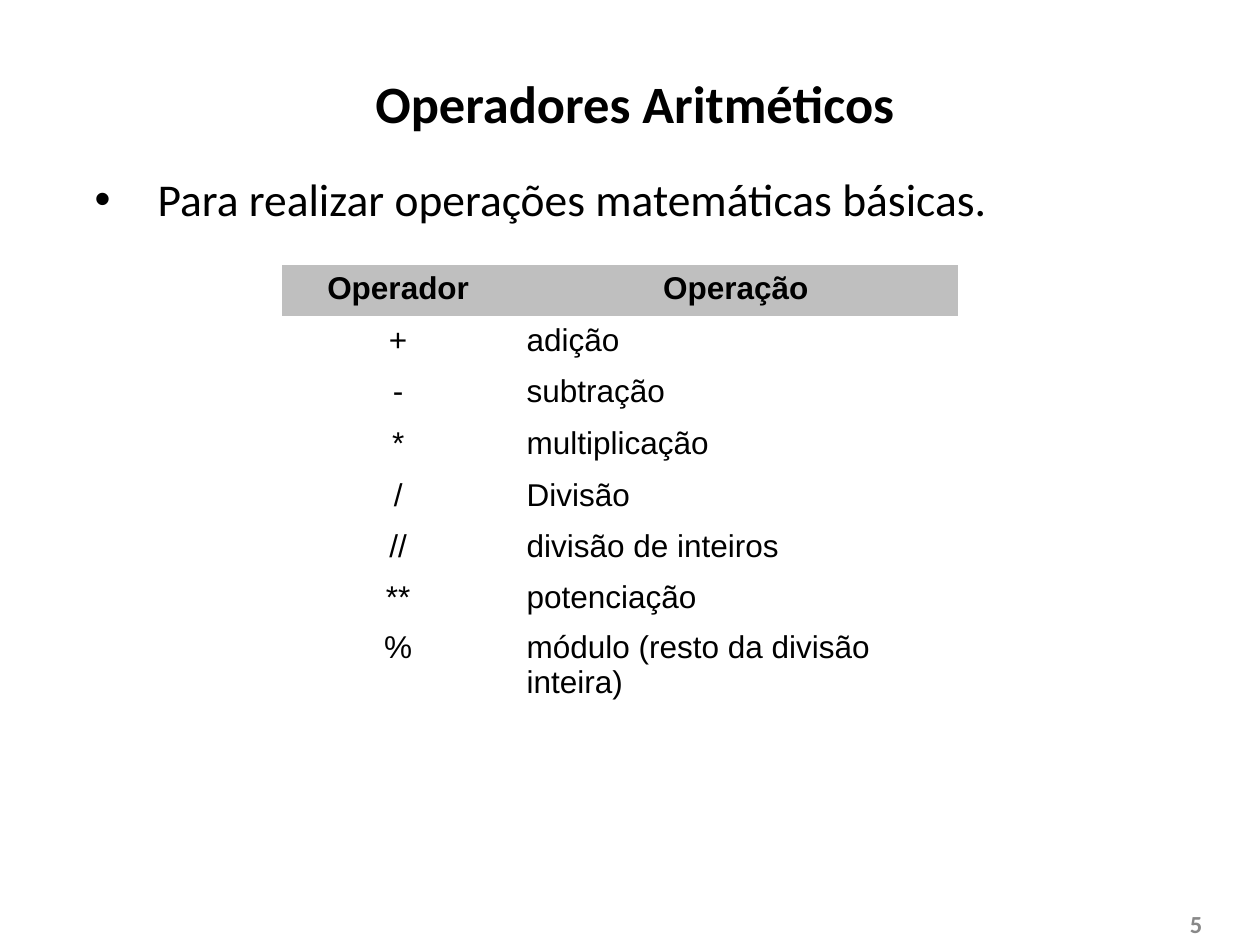
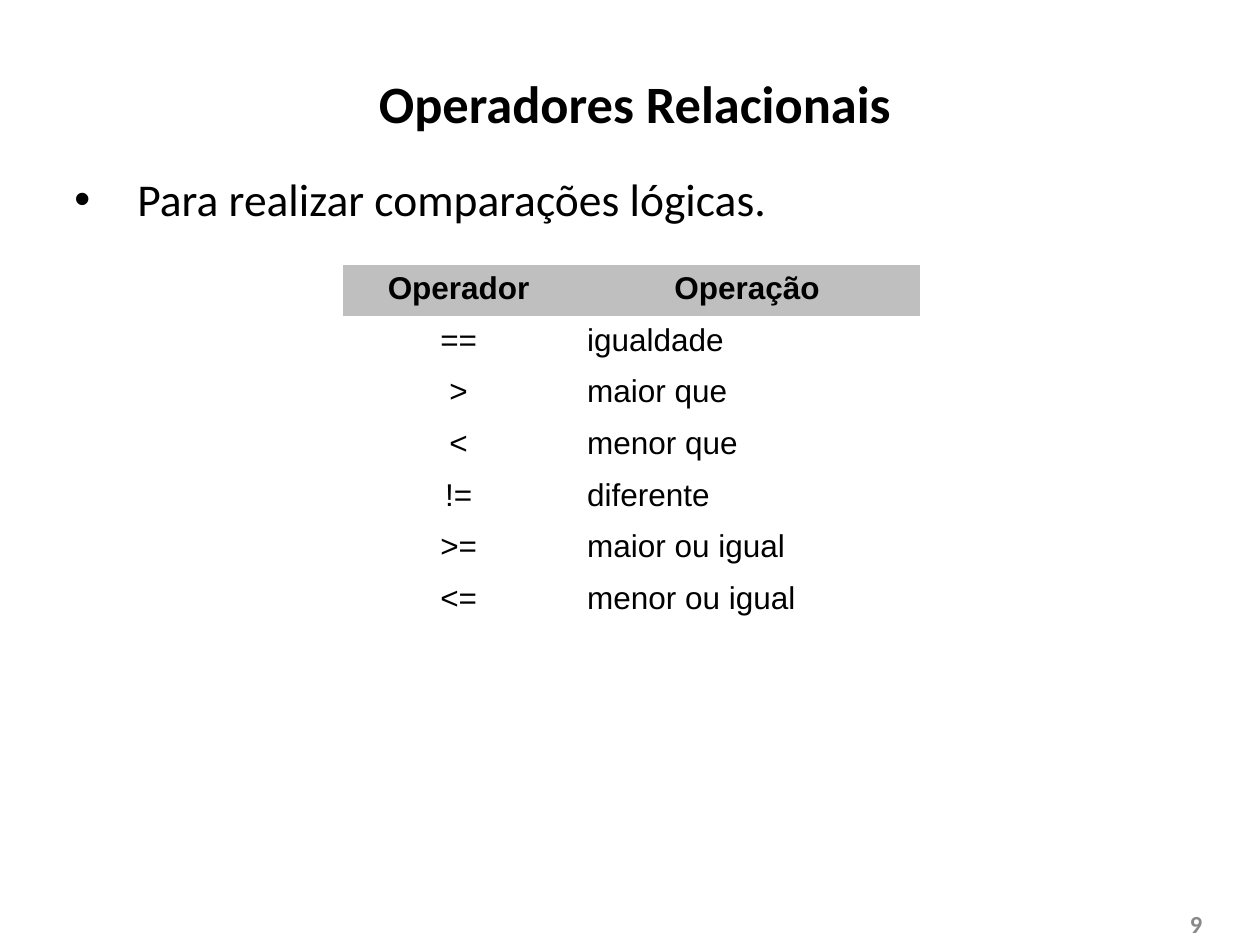
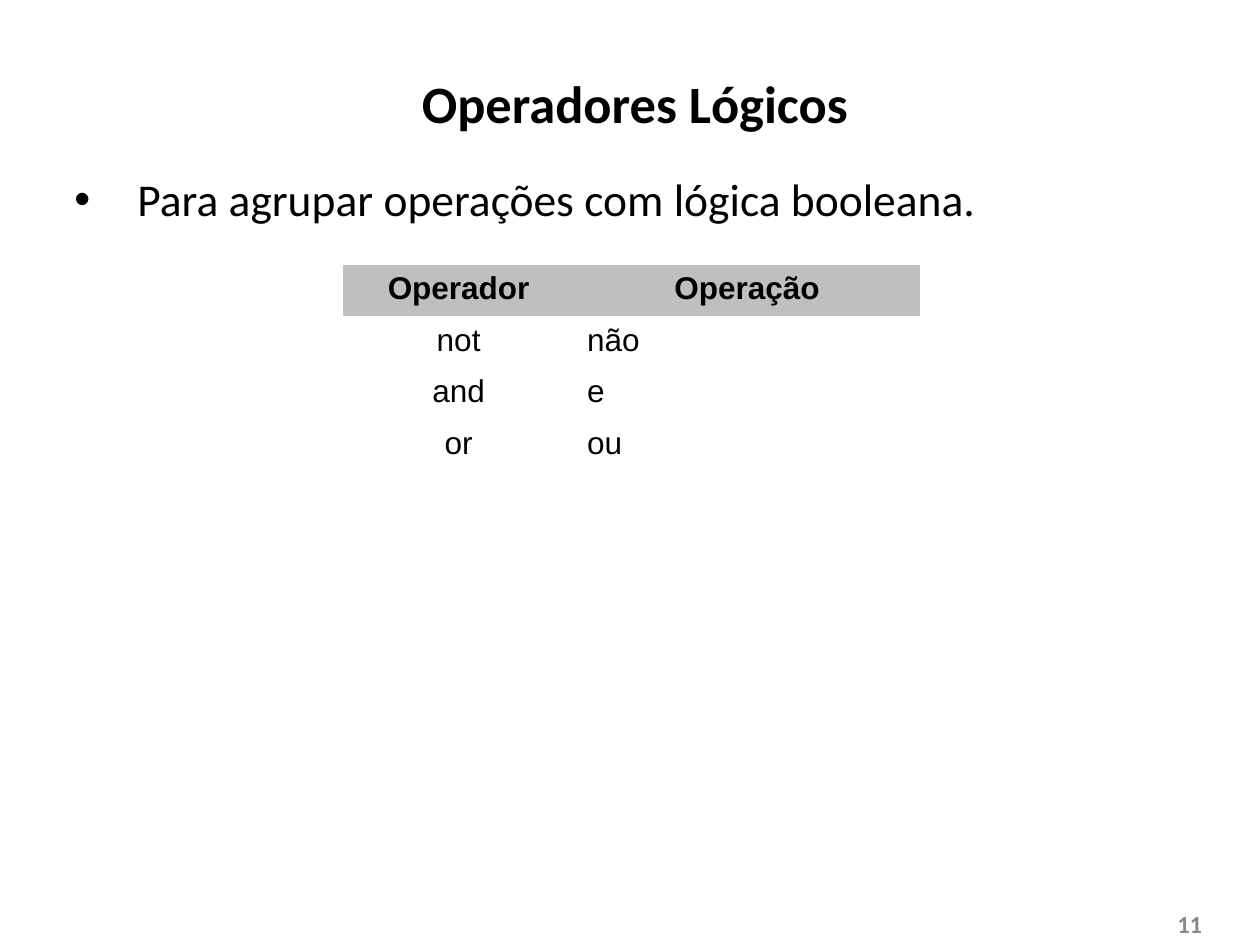
from dataclasses import dataclass

from pptx import Presentation
from pptx.dml.color import RGBColor
from pptx.enum.text import MSO_ANCHOR, MSO_AUTO_SIZE, PP_ALIGN
from pptx.util import Inches, Pt

LEFT, CENTER, RIGHT, JUSTIFY = PP_ALIGN.LEFT, PP_ALIGN.CENTER, PP_ALIGN.RIGHT, PP_ALIGN.JUSTIFY
TOP, MIDDLE = MSO_ANCHOR.TOP, MSO_ANCHOR.MIDDLE
FIXED_SIZE = MSO_AUTO_SIZE.NONE
TITLE_AND_CONTENT = 1
NO_STYLE_NO_GRID = "{2D5ABB26-0587-4C30-8999-92F81FD0307C}"
GRID_COLUMNS, GRID_ROWS = 100, 75
HEADINGS = ("Operador", "Operação")


@dataclass(frozen=True)
class Theme:
    """Hold the fonts, colours and type sizes of the deck."""
    text_font: str = "Calibri"
    table_font: str = "Arial"
    ink: RGBColor = RGBColor(0, 0, 0)
    number_gray: RGBColor = RGBColor(0x88, 0x88, 0x88)
    header_gray: RGBColor = RGBColor(0xBF, 0xBF, 0xBF)
    title_size: int = 30
    body_size: int = 26
    table_size: int = 18
    number_size: int = 14


THEME = Theme()


def grid(cells):
    """Turn a count of grid cells into a length."""
    return Inches(cells * 10 / GRID_COLUMNS)


def place(box, left, top, width, height):
    """Put a box on the grid."""
    box.left, box.top = grid(left), grid(top)
    box.width, box.height = grid(width), grid(height)


def write(frame, text, *, size, font=THEME.text_font, color=THEME.ink, bold=False,
          align=LEFT, anchor=TOP, line_spacing=None):
    """Write one formatted paragraph into a text frame and return it."""
    frame.word_wrap = True
    frame.vertical_anchor = anchor
    para = frame.paragraphs[0]
    para.alignment = align
    para.space_before = Pt(0)
    para.line_spacing = line_spacing
    span = para.add_run()
    span.text = text
    span.font.name, span.font.size, span.font.bold = font, Pt(size), bold
    span.font.color.rgb = color
    return para


def add_title(page, text):
    """Fill the title placeholder."""
    box = page.shapes.title
    place(box, 5.1, 5.7, 90.6, 5.8)
    box.text_frame.auto_size = FIXED_SIZE
    write(box.text_frame, text, size=THEME.title_size, bold=True, align=CENTER,
          line_spacing=0.9)


def add_purpose(page, text, left, width):
    """Fill the body placeholder with one bulleted sentence."""
    box = page.placeholders[1]
    place(box, left, 13.1, width, 5.4)
    box.text_frame.auto_size = FIXED_SIZE
    para = write(box.text_frame, text, size=THEME.body_size, align=JUSTIFY)
    properties = para._p.get_or_add_pPr()
    properties.set("marL", str(grid(5)))
    properties.set("indent", str(-grid(5)))


def add_page_number(page, number):
    """Write the page number in the lower right corner."""
    box = page.shapes.add_textbox(0, 0, 0, 0)
    place(box, 73.1, 71.3, 23.3, 4)
    write(box.text_frame, str(number), size=THEME.number_size, color=THEME.number_gray,
          bold=True, align=RIGHT, anchor=MIDDLE)


def add_operator_table(page, operators, left, meaning_width, compact_rows=0):
    """Add the table of operators, with the last rows as low as their text."""
    rows = [HEADINGS, *operators]
    widths = (18.4, meaning_width)
    heights = [4.1] * (len(rows) - compact_rows) + [2.5] * compact_rows
    frame = page.shapes.add_table(len(rows), len(widths), grid(left), grid(21),
                                  grid(sum(widths)), grid(sum(heights)))
    table = frame.table
    table.horz_banding = False
    table._tbl.tblPr[0].text = NO_STYLE_NO_GRID
    for column, width in zip(table.columns, widths):
        column.width = grid(width)
    for row_index, (texts, height) in enumerate(zip(rows, heights)):
        table.rows[row_index].height = grid(height)
        is_header = row_index == 0
        for column_index, text in enumerate(texts):
            cell = table.cell(row_index, column_index)
            if is_header:
                cell.fill.solid()
                cell.fill.fore_color.rgb = THEME.header_gray
            else:
                cell.fill.background()
            write(cell.text_frame, text, size=THEME.table_size, font=THEME.table_font,
                  bold=is_header, align=CENTER if is_header or column_index == 0 else LEFT)


def add_page(deck, number, title, purpose, operators, *, purpose_left=4.9,
             purpose_width=90.8, table_left=27.2, meaning_width=27.4, compact_rows=0):
    """Add one page about a family of operators."""
    page = deck.slides.add_slide(deck.slide_layouts[TITLE_AND_CONTENT])
    add_page_number(page, number)
    add_title(page, title)
    add_operator_table(page, operators, table_left, meaning_width, compact_rows)
    add_purpose(page, purpose, purpose_left, purpose_width)


def main():
    """Build the three pages and save the deck."""
    deck = Presentation()
    deck.slide_width, deck.slide_height = grid(GRID_COLUMNS), grid(GRID_ROWS)
    add_page(deck, 5, "Operadores Aritméticos",
             "Para realizar operações matemáticas básicas.",
             [("+", "adição"), ("-", "subtração"), ("*", "multiplicação"),
              ("/", "Divisão"), ("//", "divisão de inteiros"), ("**", "potenciação"),
              ("%", "módulo (resto da divisão inteira)")],
             purpose_left=6.5, purpose_width=87.6, table_left=22.4, meaning_width=35.2,
             compact_rows=3)
    add_page(deck, 9, "Operadores Relacionais", "Para realizar comparações lógicas.",
             [("==", "igualdade"), (">", "maior que"), ("<", "menor que"),
              ("!=", "diferente"), (">=", "maior ou igual"), ("<=", "menor ou igual")])
    add_page(deck, 11, "Operadores Lógicos",
             "Para agrupar operações com lógica booleana.",
             [("not", "não"), ("and", "e"), ("or", "ou")])
    deck.save("out.pptx")


if __name__ == "__main__":
    main()
